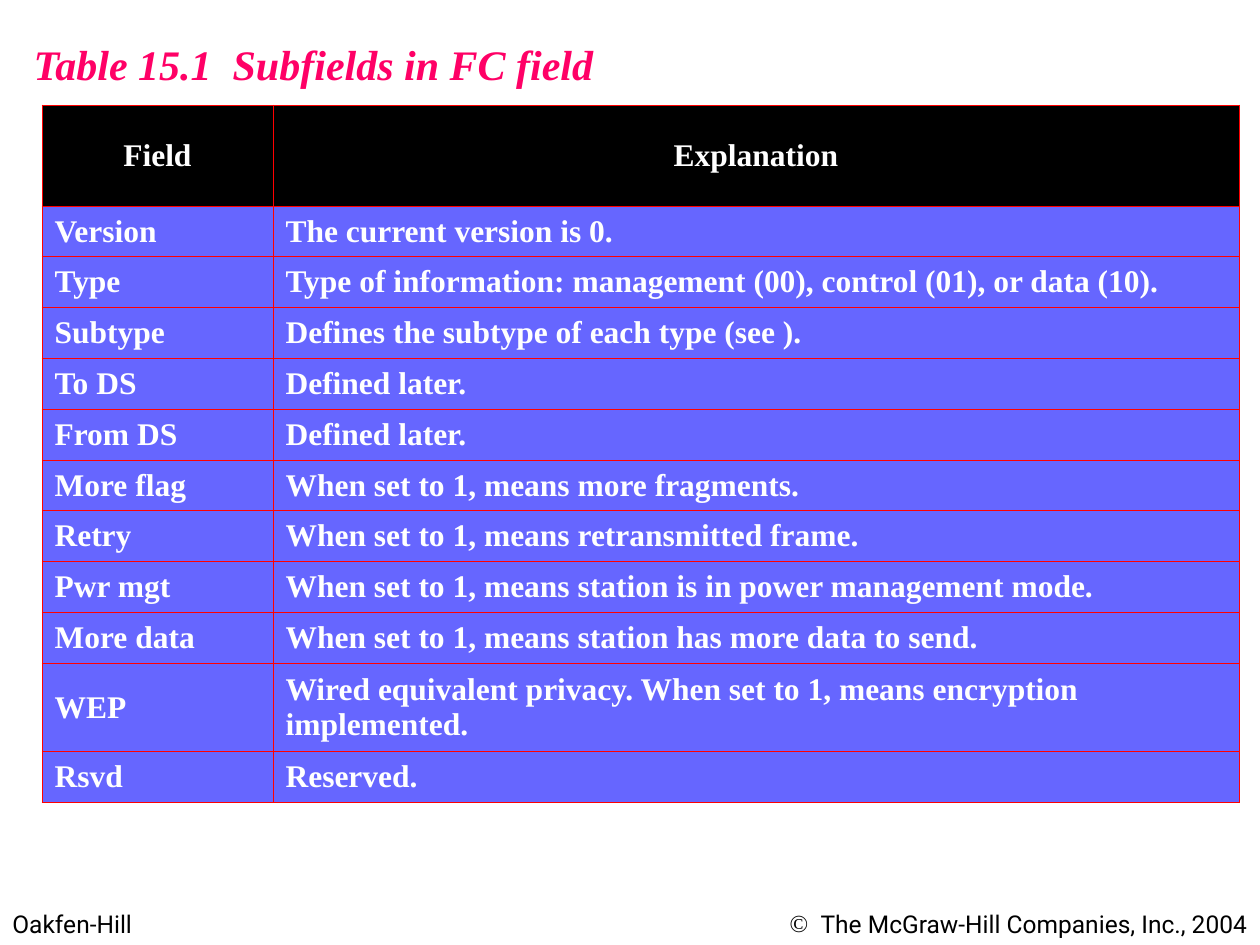
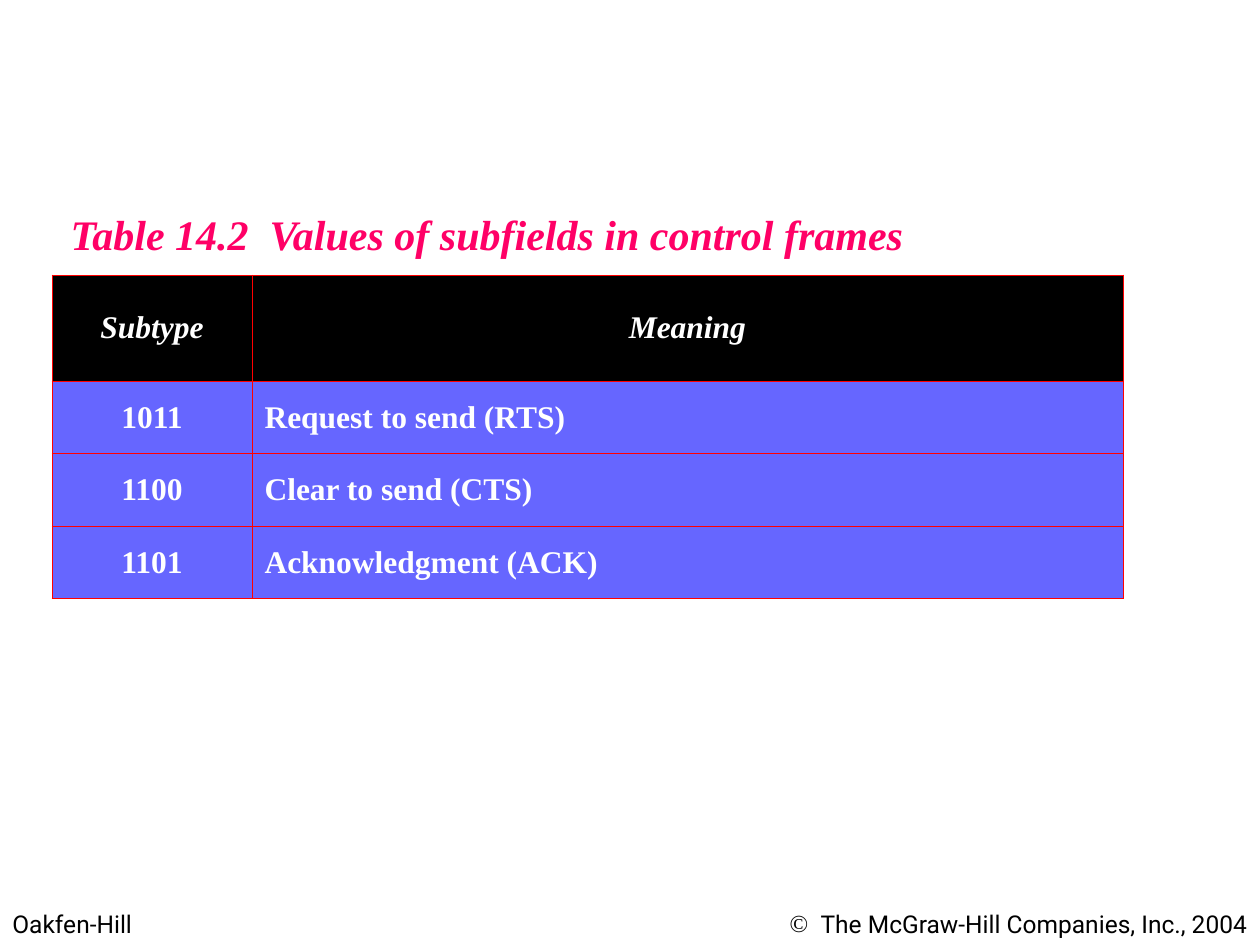
import pptx
import pptx.dml.color
import pptx.enum.text
import pptx.oxml
import pptx.oxml.ns
import pptx.util

COLORS = {
    "paper": "FFFFFF",
    "title": "FF0066",
    "header": "000000",
    "body": "6666FF",
    "cell_text": "FFFFFF",
    "border": "FF0000",
    "footer": "000000",
}
SERIF, SANS = "Times New Roman", "Roboto"
EMU_PER_PX = 914400 / 126
TITLE_ONLY = 5
BORDER_PT = 0.45
BULLET_INDENT = 31
Align = pptx.enum.text.PP_ALIGN

FIELD_ROWS = [
    ("Field", "Explanation"),
    ("Version", "The current version is 0."),
    ("Type", "Type of information: management (00), control (01), or data (10)."),
    ("Subtype", "Defines the subtype of each type (see )."),
    ("To DS", "Defined later."),
    ("From DS", "Defined later."),
    ("More flag", "When set to 1, means more fragments."),
    ("Retry", "When set to 1, means retransmitted frame."),
    ("Pwr mgt", "When set to 1, means station is in power management mode."),
    ("More data", "When set to 1, means station has more data to send."),
    ("WEP", "Wired equivalent privacy. When set to 1, means encryption implemented."),
    ("Rsvd", "Reserved."),
]
CONTROL_ROWS = [
    ("Subtype", "Meaning"),
    ("1011", "Request to send (RTS)"),
    ("1100", "Clear to send (CTS)"),
    ("1101", "Acknowledgment (ACK)"),
]


def px(length):
    return pptx.util.Emu(round(length * EMU_PER_PX))


def rgb(name):
    return pptx.dml.color.RGBColor.from_string(COLORS[name])


def style(para, font_name, size, color, align=Align.LEFT, bold=False, italic=False):
    para.alignment = align
    font = para.font
    font.name, font.size = font_name, pptx.util.Pt(size)
    font.bold, font.italic = bold, italic
    font.color.rgb = rgb(color)


def add_element(parent, xml, index=None):
    """Parse xml, whose root uses the a: prefix, and put it into parent."""
    root, rest = xml.split(" ", 1)
    element = pptx.oxml.parse_xml(f"{root} {pptx.oxml.ns.nsdecls('a')} {rest}")
    parent.insert(len(parent) if index is None else index, element)


def set_title(page, box, text):
    title = page.shapes.title
    title.left, title.top, title.width, title.height = map(px, box)
    frame = title.text_frame
    frame.text = text
    frame.word_wrap = False
    frame.auto_size = pptx.enum.text.MSO_AUTO_SIZE.NONE
    frame.vertical_anchor = pptx.enum.text.MSO_ANCHOR.TOP
    style(frame.paragraphs[0], SERIF, 24, "title", bold=True, italic=True)


def add_footer_text(page, box, text, align, bullet=None):
    frame = page.shapes.add_textbox(*map(px, box)).text_frame
    frame.word_wrap = True
    para = frame.paragraphs[0]
    para.text = text
    if bullet:
        props = para._p.get_or_add_pPr()
        props.set("marL", str(px(BULLET_INDENT)))
        props.set("indent", str(-px(BULLET_INDENT)))
        add_element(props, f'<a:buFont typeface="{SERIF}"/>')
        add_element(props, f'<a:buChar char="{bullet}"/>')
    style(para, SANS, 14, "footer", align)


def add_footers(page, box):
    left, top, width, height = box
    add_footer_text(page, (left, top, 305, height), "Oakfen-Hill", Align.LEFT)
    add_footer_text(page, (left + width // 2, top, width // 2, height),
                    "The McGraw-Hill Companies, Inc., 2004", Align.RIGHT, "©")


def add_borders(cell):
    props = cell._tc.get_or_add_tcPr()
    for index, side in enumerate("LRTB"):
        add_element(
            props,
            f'<a:ln{side} w="{pptx.util.Pt(BORDER_PT)}"><a:solidFill>'
            f'<a:srgbClr val="{COLORS["border"]}"/></a:solidFill></a:ln{side}>',
            index)


def fill_cell(cell, text, fill, align, italic):
    cell.text = text
    cell.vertical_anchor = pptx.enum.text.MSO_ANCHOR.MIDDLE
    cell.fill.solid()
    cell.fill.fore_color.rgb = rgb(fill)
    add_borders(cell)
    style(cell.text_frame.paragraphs[0], SERIF, 18, "cell_text", align, True, italic)


def add_field_table(page, box, rows, key_width, header_height, tall_rows=None,
                    key_align=Align.LEFT, italic_header=False):
    """Rows that are neither header nor tall share the remaining height equally."""
    width, height = box[2:]
    table = page.shapes.add_table(len(rows), 2, *map(px, box)).table
    table.columns[0].width = px(key_width)
    table.columns[1].width = px(width - key_width)
    fixed = {0: header_height, **(tall_rows or {})}
    shared = (height - sum(fixed.values())) / (len(rows) - len(fixed))
    for row, texts in enumerate(rows):
        table.rows[row].height = px(fixed.get(row, shared))
        header = row == 0
        aligns = (Align.CENTER,) * 2 if header else (key_align, Align.LEFT)
        for column, text in enumerate(texts):
            fill_cell(table.cell(row, column), text, "header" if header else "body",
                      aligns[column], header and italic_header)


def add_page(deck, title_box, title):
    page = deck.slides.add_slide(deck.slide_layouts[TITLE_ONLY])
    page.background.fill.solid()
    page.background.fill.fore_color.rgb = rgb("paper")
    add_footers(page, (0, 903, 1260, 43))
    set_title(page, title_box, title)
    return page


def main():
    deck = pptx.Presentation()
    deck.slide_width, deck.slide_height = px(1260), px(945)

    page = add_page(deck, (21, 32, 588, 63), "Table 15.1  Subfields in FC field")
    add_field_table(page, (42, 105, 1197, 697), FIELD_ROWS, key_width=231,
                    header_height=101, tall_rows={10: 88})

    page = add_page(deck, (58, 202, 866, 63),
                    "Table 14.2  Values of subfields in control frames")
    add_field_table(page, (52, 275, 1071, 324), CONTROL_ROWS, key_width=200,
                    header_height=106, key_align=Align.CENTER, italic_header=True)

    deck.save("out.pptx")


if __name__ == "__main__":
    main()
